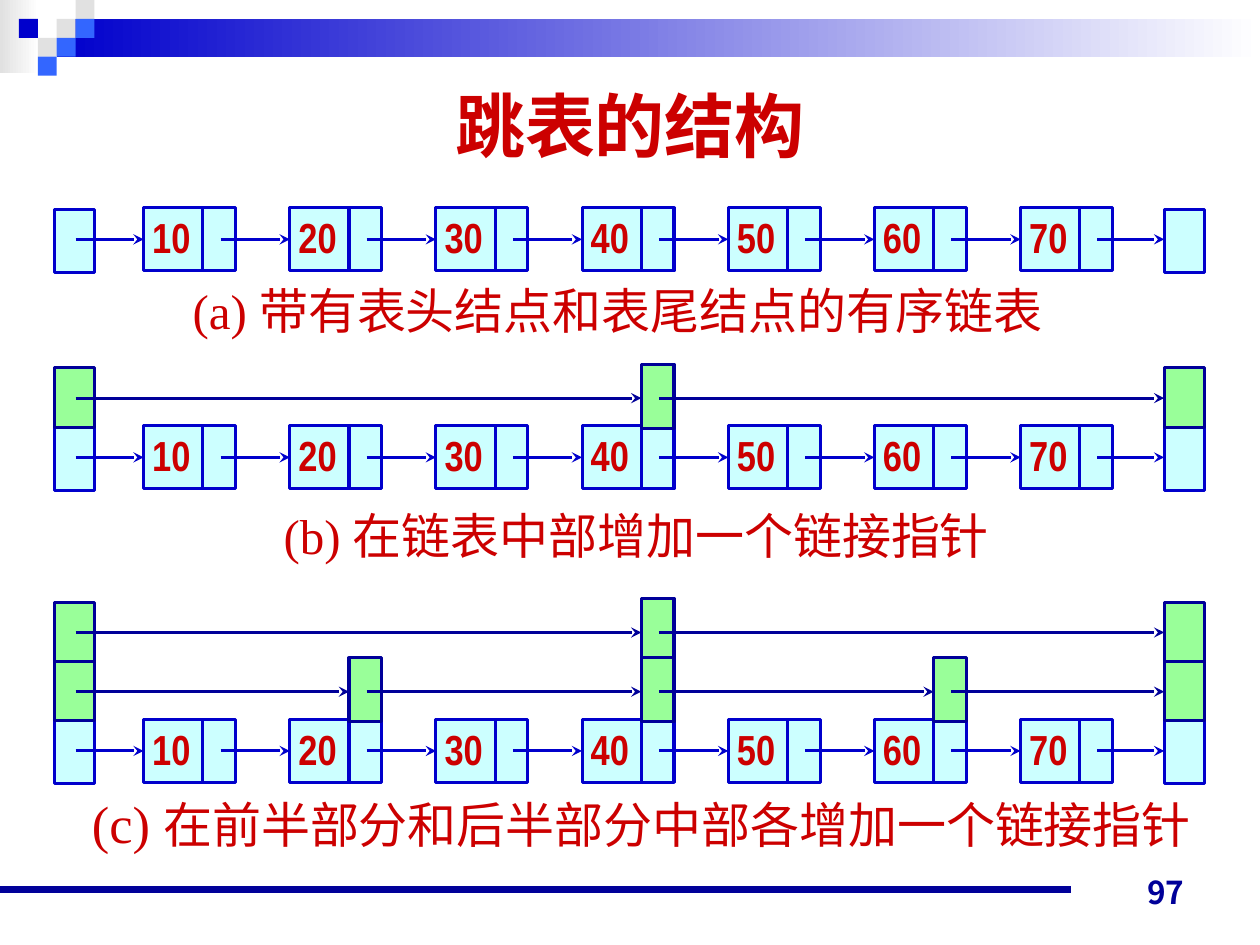
from lxml.etree import SubElement
from pptx import Presentation
from pptx.dml.color import RGBColor
from pptx.enum.shapes import MSO_CONNECTOR, MSO_SHAPE
from pptx.enum.text import MSO_ANCHOR, PP_ALIGN
from pptx.oxml.ns import qn
from pptx.util import Inches, Pt

COLUMNS, ROWS = 100, 75
NAVY, BLUE, RED = "000099", "0000CC", "CC0000"
CYAN, GREEN, GRAY, SKY = "CCFFFF", "99FF99", "E1E1E1", "3366FF"
SANS, SERIF, NARROW = "Noto Sans CJK JP", "Times New Roman", "Arial Narrow"
KEYS = (10, 20, 30, 40, 50, 60, 70)
PITCH, LIFT = 11.6, 4.7


def color(value):
    """Turn a hex string into a colour."""
    return RGBColor.from_string(value)


def grid(*cells):
    """Turn grid columns or rows into lengths."""
    return [Inches(10 * cell / COLUMNS) for cell in cells]


def add_rectangle(page, box, fill, line=None):
    """Add a flat rectangle; a pair of fills makes a gradient."""
    shape = page.shapes.add_shape(MSO_SHAPE.RECTANGLE, *grid(*box))
    shape.shadow.inherit = False
    if isinstance(fill, tuple):
        shape.fill.gradient()
        shape.fill.gradient_angle = 0
        for stop, value in zip(shape.fill.gradient_stops, fill):
            stop.color.rgb = color(value)
    else:
        shape.fill.solid()
        shape.fill.fore_color.rgb = color(fill)
    if line:
        shape.line.color.rgb = color(line)
        shape.line.width = Pt(1.75)
    else:
        shape.line.fill.background()


def add_line(page, start, end, line, width=1.75, arrow=False):
    """Add a straight line, with a stealth head if asked."""
    connector = page.shapes.add_connector(MSO_CONNECTOR.STRAIGHT, *grid(*start, *end))
    connector.line.color.rgb = color(line)
    connector.line.width = Pt(width)
    properties = connector._element.spPr
    if arrow:
        SubElement(properties.find(qn("a:ln")), qn("a:tailEnd"), type="stealth")
    SubElement(properties, qn("a:effectLst"))


def write(shape, box, spans, font, hue, align, anchor=MSO_ANCHOR.TOP, bold=False):
    """Place a text shape and fill its paragraph with (text, size) spans."""
    shape.left, shape.top, shape.width, shape.height = grid(*box)
    frame = shape.text_frame
    frame.word_wrap = True
    frame.vertical_anchor = anchor
    para = frame.paragraphs[0]
    para.alignment = align
    for text, size in spans:
        span = para.add_run()
        span.text = text
        for name, value in {"name": font, "size": Pt(size), "bold": bold}.items():
            setattr(span.font, name, value)
        span.font.color.rgb = color(hue)
        SubElement(span._r.get_or_add_rPr(), qn("a:ea"), typeface=SANS)


def add_text(page, *args, **formats):
    """Add a text box."""
    write(page.shapes.add_textbox(0, 0, 0, 0), *args, **formats)


def add_banner(page, box):
    """Draw the gradient band and its checkered corner."""
    left, top, width, height = box
    side = height / 5
    add_rectangle(page, (left, top, 3.1, 5.8), (GRAY, "FFFFFF"))
    add_rectangle(page, (left + 3 * side, top + side, width - 3 * side, 2 * side), (BLUE, "FFFFFF"))
    tiles = [(3, 1, GRAY), (4, 0, GRAY), (4, 1, SKY), (2, 2, GRAY), (1, 1, BLUE), (3, 2, SKY), (2, 3, SKY)]
    for column, row, fill in tiles:
        add_rectangle(page, (left + column * side, top + row * side, side, side), fill)


def add_footer(page, box):
    """Draw the bottom rule and the page number."""
    left, top, width, height = box
    rule = top + 2.8
    add_line(page, (left, rule), (left + 0.85 * width, rule), NAVY, width=4.5)
    number = (left + 0.717 * width, top, 0.233 * width, height)
    add_text(page, number, [("97", 18)], SANS, NAVY, PP_ALIGN.RIGHT, anchor=MSO_ANCHOR.BOTTOM, bold=True)


def add_skip_list(page, box, levels):
    """Draw a linked list, with express levels given from the top down."""
    left, top, width, height = box
    axis = top + height - 2.6
    tail = left + width - 3.2
    nodes = [left + 7.1 + PITCH * index for index in range(len(KEYS))]
    for end in (left, tail):
        add_rectangle(page, (end, axis - 2.4, 3.2, 5), CYAN, BLUE)
    for key, node in zip(KEYS, nodes):
        add_rectangle(page, (node, axis - 2.5, 7.3, 5), CYAN, BLUE)
        add_line(page, (node + 4.7, axis - 2.6), (node + 4.7, axis + 2.6), BLUE)
        label = (node - 0.3, axis - 2.7, 6.7, 6.6)
        add_text(page, label, [(str(key), 24)], NARROW, RED, PP_ALIGN.JUSTIFY, bold=True)
    add_links(page, axis, [left + 1.7] + [node + 6.1 for node in nodes], nodes + [tail], BLUE)
    for depth, stops in enumerate(levels):
        lane = axis - LIFT * (len(levels) - depth)
        towers = [nodes[stop] + 4.7 for stop in stops]
        for end in (left, tail):
            add_rectangle(page, (end, lane - 2.4, 3.2, LIFT), GREEN, NAVY)
        for tower in towers:
            add_rectangle(page, (tower, lane - 2.7, 2.6, 5.1), GREEN, NAVY)
        add_links(page, lane, [left + 1.7] + [tower + 1.4 for tower in towers], towers + [tail], NAVY)


def add_links(page, lane, starts, ends, line):
    """Draw the arrows along one level."""
    for start, end in zip(starts, ends):
        add_line(page, (start, lane), (end, lane), line, arrow=True)


def main():
    """Build the slide."""
    deck = Presentation()
    deck.slide_width, deck.slide_height = grid(COLUMNS, ROWS)
    page = deck.slides.add_slide(deck.slide_layouts[5])
    add_banner(page, (0, 0, COLUMNS, 7.5))
    add_footer(page, (0, 67.8, COLUMNS, 5))
    write(page.shapes.title, (5, 5, 90, 9.7), [("跳表的结构", 40)], SANS, RED,
          PP_ALIGN.CENTER, anchor=MSO_ANCHOR.MIDDLE, bold=True)
    captions = [
        ((11, 21.8, 76, 5.9), [("(a) 带有表头结点和表尾结点的有序链表", 28)]),
        ((18, 39.6, 65, 5.7), [("(b) 在链表中部增加一个链接指针", 28)]),
        ((3.9, 62.3, 94, 4.7), [("(c) ", 30), ("在前半部分和后半部分中部各增加一个链接指针", 28)]),
    ]
    for box, spans in captions:
        add_text(page, box, spans, SERIF, RED, PP_ALIGN.CENTER)
    add_skip_list(page, (4.3, 16.4, 91.3, 5.2), [])
    add_skip_list(page, (4.3, 28.9, 91.3, 10), [[3]])
    add_skip_list(page, (4.3, 47.5, 91.3, 14.7), [[3], [1, 3, 5]])
    deck.save("out.pptx")


if __name__ == "__main__":
    main()
